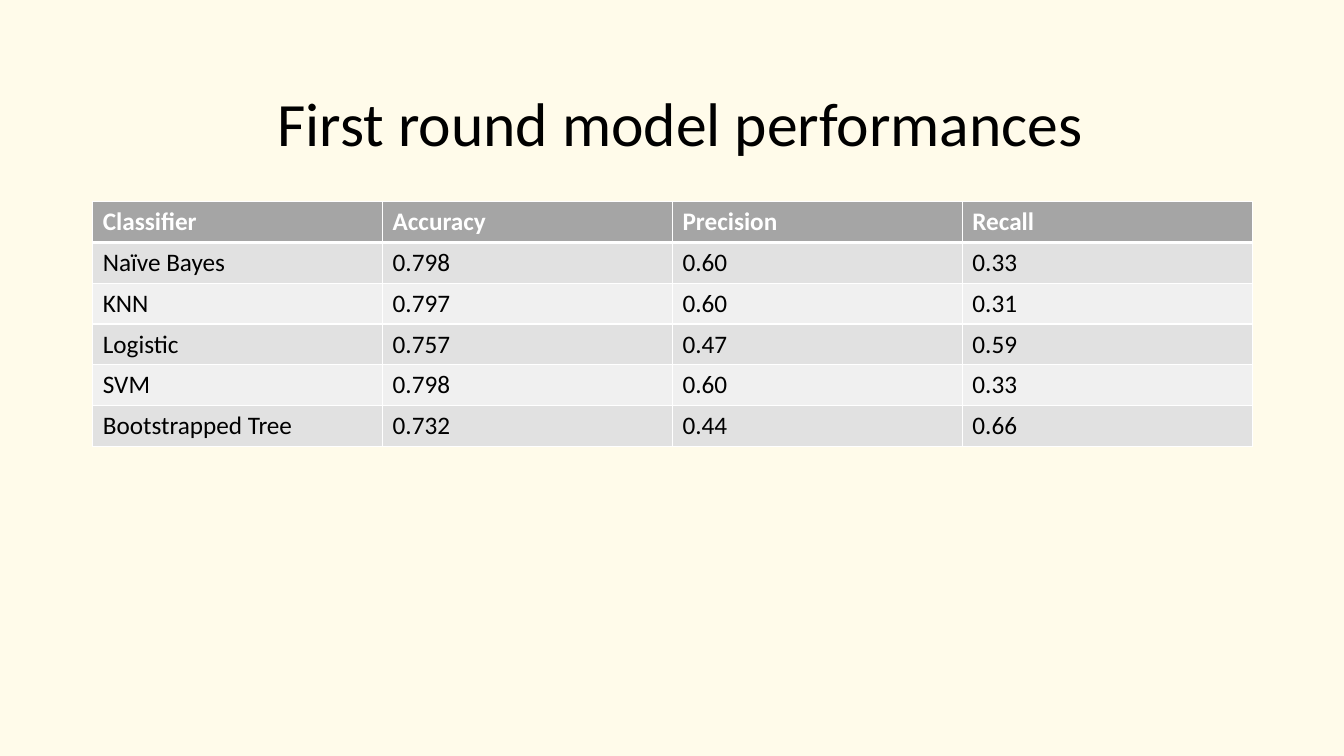
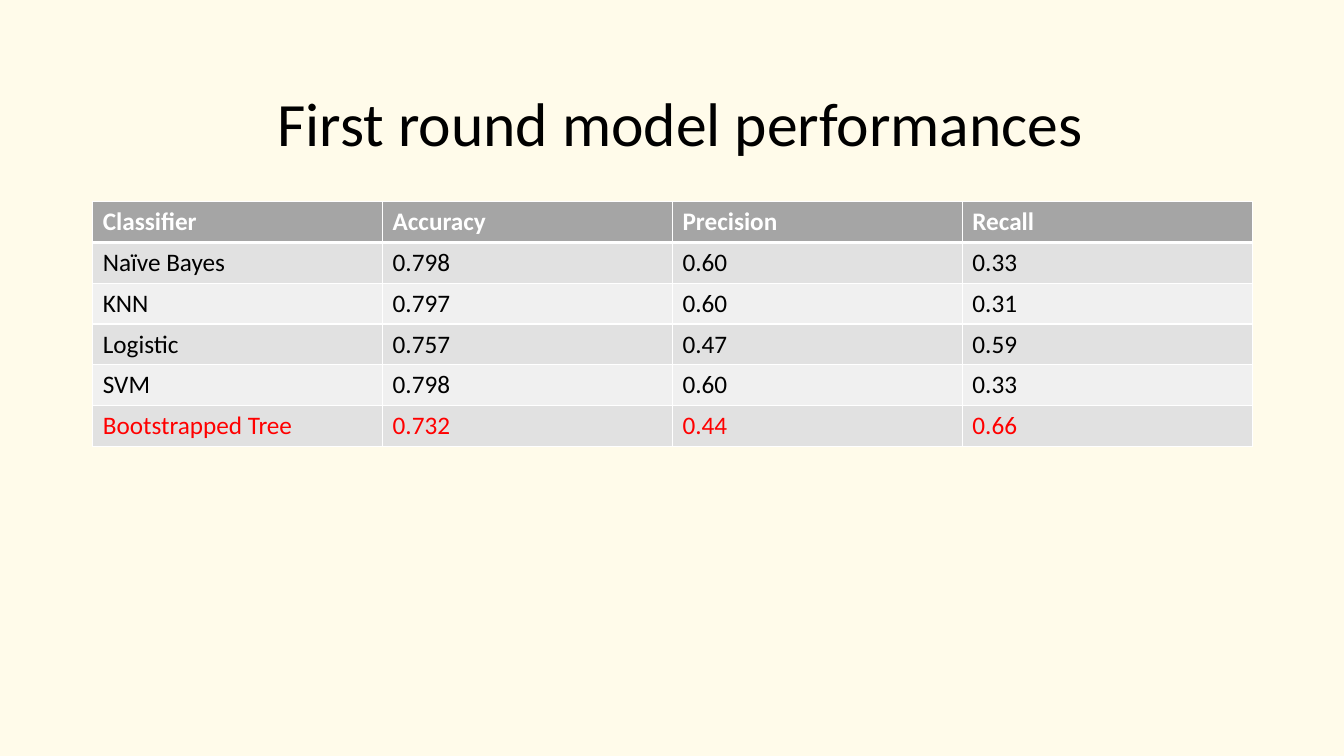
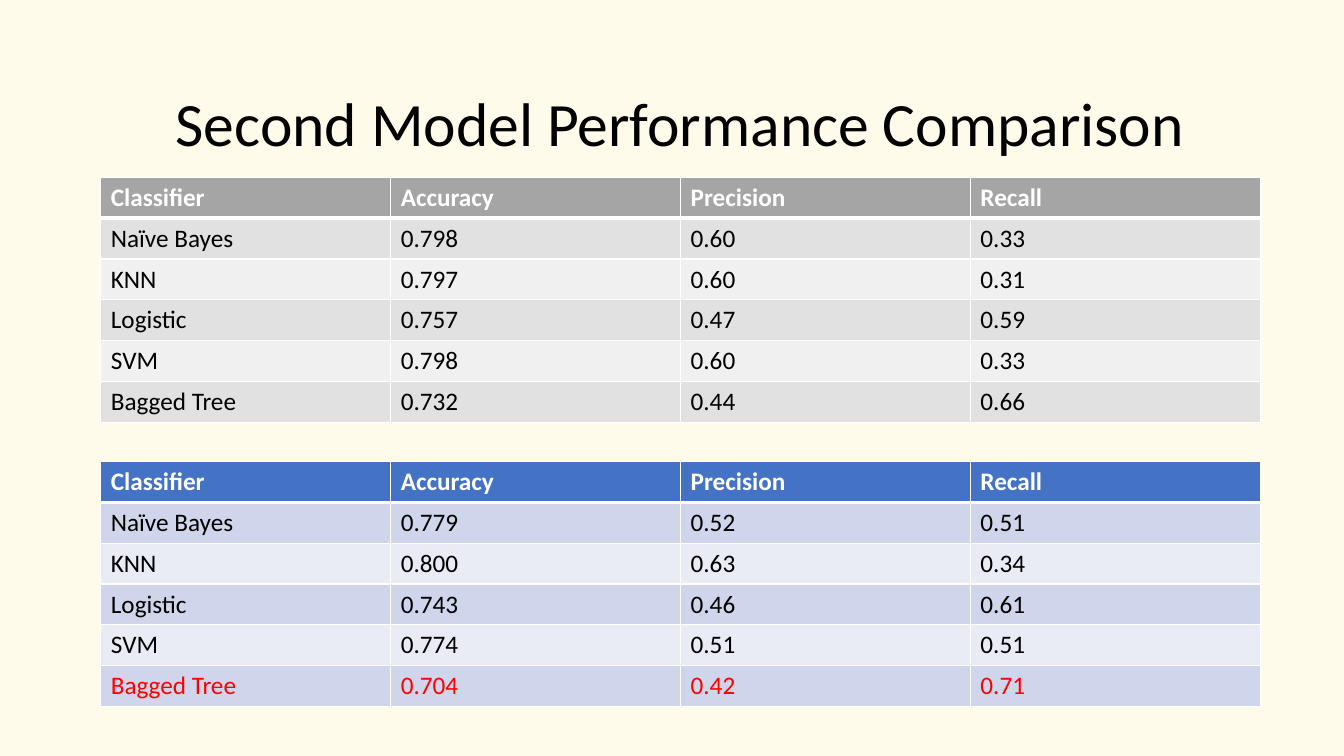
from dataclasses import dataclass

from lxml import etree
from pptx import Presentation
from pptx.dml.color import RGBColor
from pptx.enum.text import MSO_ANCHOR, PP_ALIGN
from pptx.oxml.ns import qn
from pptx.presentation import Presentation as Deck
from pptx.slide import Slide
from pptx.table import _Cell
from pptx.text.text import _Paragraph
from pptx.util import Inches, Pt

CENTER = PP_ALIGN.CENTER
MIDDLE = MSO_ANCHOR.MIDDLE

FONT = "Calibri"
BACKGROUND = "FFFBEA"
BLACK = "000000"
WHITE = "FFFFFF"
RED = "FF0000"

TABLE_WIDTH = 11.5
TABLE_HEIGHT = 2.43
THIN_LINE = 1
HEADER_LINE = 3

Row = tuple[str, ...]
HEADER: Row = ("Classifier", "Accuracy", "Precision", "Recall")
BASE_ROWS: list[Row] = [
    ("Naïve Bayes", "0.798", "0.60", "0.33"),
    ("KNN", "0.797", "0.60", "0.31"),
    ("Logistic", "0.757", "0.47", "0.59"),
    ("SVM", "0.798", "0.60", "0.33"),
]
TREE_SCORES: Row = ("0.732", "0.44", "0.66")
FIRST_ROUND: list[Row] = [*BASE_ROWS, ("Bootstrapped Tree", *TREE_SCORES)]
FIRST_ROUND_BAGGED: list[Row] = [*BASE_ROWS, ("Bagged Tree", *TREE_SCORES)]
SECOND_ROUND: list[Row] = [
    ("Naïve Bayes", "0.779", "0.52", "0.51"),
    ("KNN", "0.800", "0.63", "0.34"),
    ("Logistic", "0.743", "0.46", "0.61"),
    ("SVM", "0.774", "0.51", "0.51"),
    ("Bagged Tree", "0.704", "0.42", "0.71"),
]


@dataclass(frozen=True)
class Palette:
    header: str
    bands: tuple[str, str]


GRAY = Palette("A5A5A5", ("E1E1E1", "F0F0F0"))
BLUE = Palette("4472C4", ("CFD5EA", "E9EBF5"))


@dataclass(frozen=True)
class ScoreTable:
    left: float
    top: float
    rows: list[Row]
    palette: Palette = GRAY
    highlight_last: bool = False


@dataclass(frozen=True)
class ScoreSlide:
    title: str
    tables: tuple[ScoreTable, ...]


SLIDES = (
    ScoreSlide("First round model performances", (ScoreTable(0.92, 2, FIRST_ROUND),)),
    ScoreSlide(
        "First round model performances",
        (ScoreTable(0.92, 2, FIRST_ROUND, highlight_last=True),),
    ),
    ScoreSlide(
        "Second Model Performance Comparison",
        (
            ScoreTable(1, 4.58, SECOND_ROUND, BLUE, True),
            ScoreTable(1, 1.76, FIRST_ROUND_BAGGED),
        ),
    ),
)


def rgb(color: str) -> RGBColor:
    return RGBColor.from_string(color)


def add_run(
    paragraph: _Paragraph, text: str, size: float, color: str, bold: bool = False
) -> None:
    run = paragraph.add_run()
    run.text = text
    run.font.name = FONT
    run.font.size = Pt(size)
    run.font.bold = bold
    run.font.color.rgb = rgb(color)


def add_title(slide: Slide, text: str) -> None:
    shape = slide.shapes.add_textbox(Inches(1.5), Inches(0.75), Inches(10.5), Inches(1.01))
    frame = shape.text_frame
    frame.word_wrap = True
    frame.vertical_anchor = MIDDLE
    paragraph = frame.paragraphs[0]
    paragraph.alignment = CENTER
    paragraph.line_spacing = 0.9
    add_run(paragraph, text, 44, BLACK)


def set_borders(cell: _Cell, top: float, bottom: float) -> None:
    properties = cell._tc.get_or_add_tcPr()
    widths = {"lnL": THIN_LINE, "lnR": THIN_LINE, "lnT": top, "lnB": bottom}
    for side, width in widths.items():
        line = etree.SubElement(properties, qn(f"a:{side}"), w=str(Pt(width)))
        fill = etree.SubElement(line, qn("a:solidFill"))
        etree.SubElement(fill, qn("a:srgbClr"), val=WHITE)


def add_score_table(slide: Slide, scores: ScoreTable) -> None:
    rows = [HEADER, *scores.rows]
    table = slide.shapes.add_table(
        len(rows),
        len(HEADER),
        Inches(scores.left),
        Inches(scores.top),
        Inches(TABLE_WIDTH),
        Inches(TABLE_HEIGHT),
    ).table
    for row_index, row in enumerate(rows):
        is_header = row_index == 0
        is_highlighted = scores.highlight_last and row_index == len(rows) - 1
        background = (
            scores.palette.header if is_header else scores.palette.bands[(row_index - 1) % 2]
        )
        color = WHITE if is_header else RED if is_highlighted else BLACK
        top = HEADER_LINE if row_index == 1 else THIN_LINE
        bottom = HEADER_LINE if is_header else THIN_LINE
        for column_index, text in enumerate(row):
            cell = table.cell(row_index, column_index)
            set_borders(cell, top, bottom)
            cell.fill.solid()
            cell.fill.fore_color.rgb = rgb(background)
            add_run(cell.text_frame.paragraphs[0], text, 18, color, is_header)


def add_score_slide(presentation: Deck, content: ScoreSlide) -> None:
    slide = presentation.slides.add_slide(presentation.slide_layouts[6])
    add_title(slide, content.title)
    for scores in content.tables:
        add_score_table(slide, scores)


def main() -> None:
    presentation = Presentation()
    presentation.slide_width = Inches(13.33)
    presentation.slide_height = Inches(7.5)
    background = presentation.slide_master.background.fill
    background.solid()
    background.fore_color.rgb = rgb(BACKGROUND)
    for content in SLIDES:
        add_score_slide(presentation, content)
    presentation.save("out.pptx")


if __name__ == "__main__":
    main()
